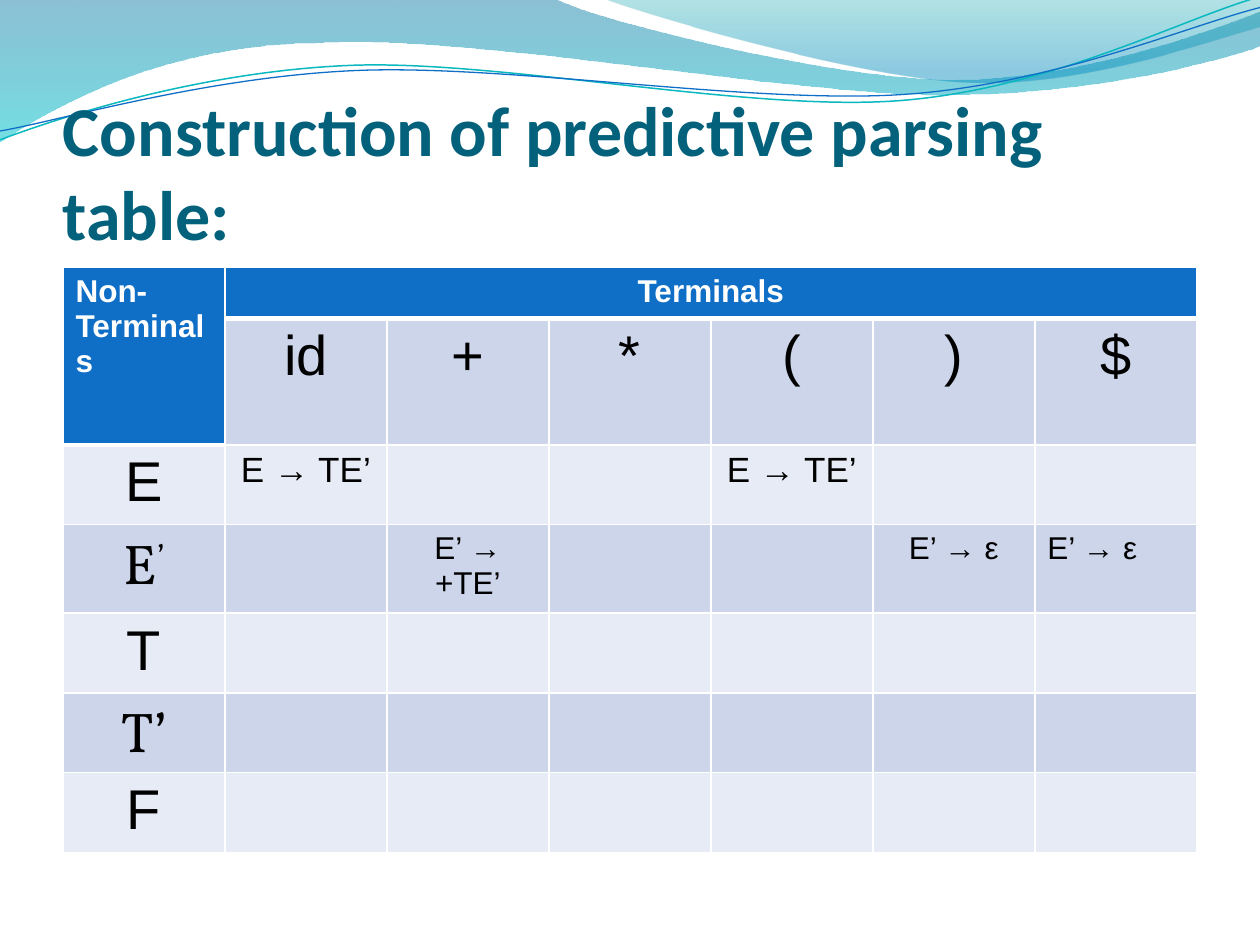
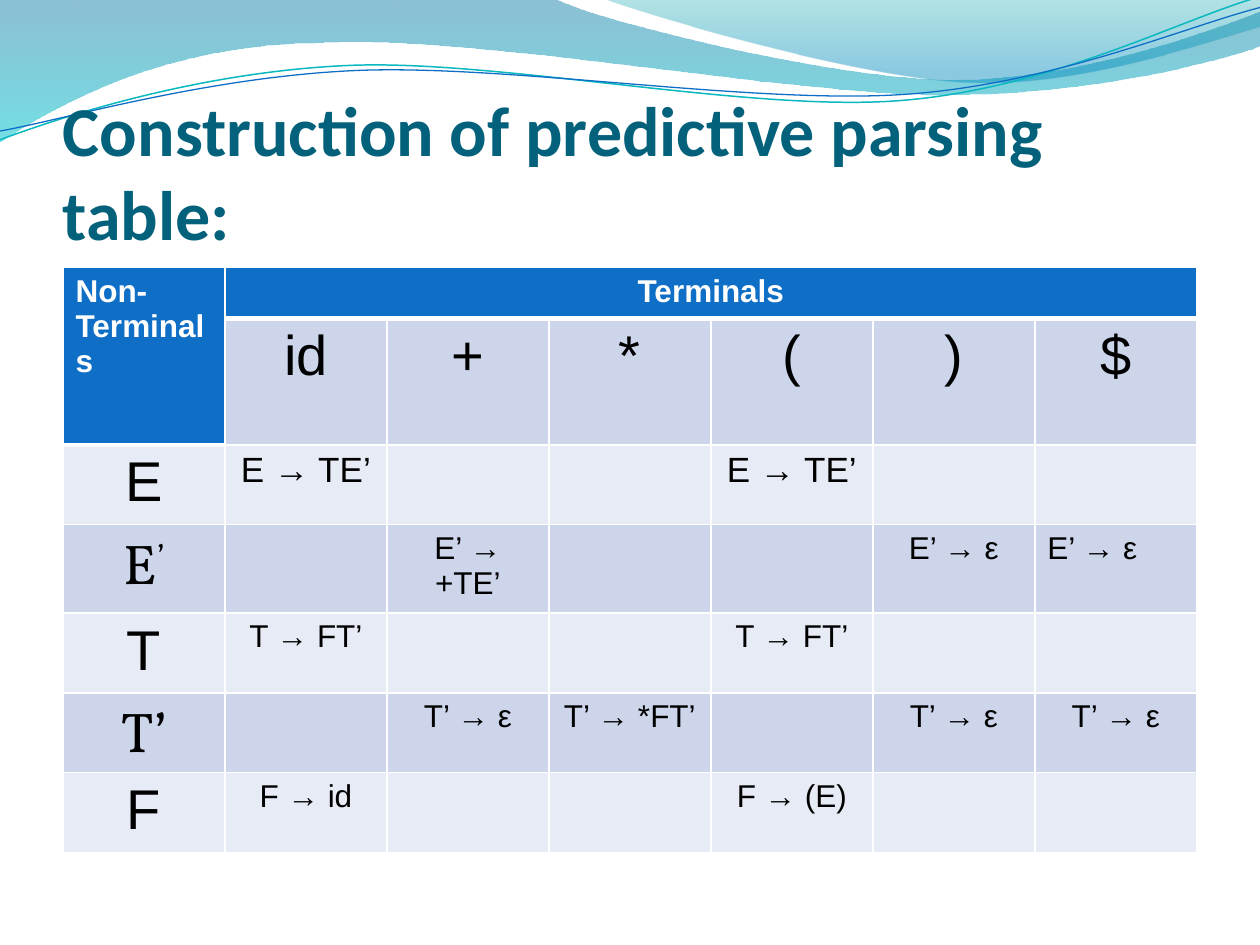
from dataclasses import dataclass

from lxml import etree
from pptx import Presentation
from pptx.dml.color import RGBColor
from pptx.enum.text import MSO_ANCHOR, PP_ALIGN
from pptx.oxml.ns import qn
from pptx.util import Inches, Pt

LEFT, CENTER = PP_ALIGN.LEFT, PP_ALIGN.CENTER
BOTTOM = MSO_ANCHOR.BOTTOM


@dataclass(frozen=True)
class Theme:
    title: str = "04617B"
    header: str = "0F6FC6"
    dark_band: str = "CCD5EA"
    light_band: str = "E7EBF5"
    white: str = "FFFFFF"
    black: str = "000000"
    teal_line: str = "0AB8BF"
    title_font: str = "Calibri"
    body_font: str = "Arial"
    symbol_font: str = "Vollkorn"
    title_size: int = 40
    symbol_size: int = 32
    large_rule_size: int = 20
    rule_size: int = 18


THEME = Theme()
GRID_ROWS, GRID_COLUMNS = 7, 7
TERMINALS = ["id", "+", "*", "(", ")", "$"]

# Each outline: a start point, then lines (one point) and curves (three points).
# Gradient stops: position, colour, opacity in percent.
WAVES = [
    ((0, -0.01),
     [[(4.4, -0.01)],
      [(4.76, 0.17), (6.64, 0.63), (7.58, 0.63)],
      [(8.53, 0.63), (9.58, 0.26), (10, 0.09)],
      [(10.01, 0.36)],
      [(9.83, 0.44), (8.7, 0.76), (7.46, 0.75)],
      [(6.22, 0.75), (3.82, 0.28), (2.57, 0.34)],
      [(1.29, 0.35), (0.46, 0.83), (-0.01, 1.13)],
      [(0, -0.01)]],
     [(0, "0074A1", 45), (1, "00C6CF", 55)]),
    ((4.79, -0.01),
     [[(5.09, 0.11), (6.82, 0.62), (7.69, 0.65)],
      [(8.56, 0.69), (9.61, 0.32), (10, 0.21)],
      [(10, 0)],
      [(4.79, -0.01)]],
     [(0, "00A1A9", 30), (0.8, "008BBF", 45)]),
]
STRANDS = [
    ((0, 1.11),
     [[(0.48, 0.93), (1.58, 0.57), (2.77, 0.52)],
      [(3.95, 0.47), (5.93, 0.89), (7.13, 0.8)],
      [(8.33, 0.71), (9.38, 0.15), (9.98, -0.02)]],
     THEME.teal_line, 0.85),
    ((0, 1.04),
     [[(0.47, 0.96), (1.64, 0.61), (2.83, 0.56)],
      [(4.03, 0.51), (5.97, 0.83), (7.17, 0.75)],
      [(8.36, 0.67), (9.41, 0.21), (10, 0.06)]],
     THEME.header, 0.75),
]

# Runs of each nonterminal: text, font, baseline shift in percent.
NONTERMINALS = [
    [("E", THEME.body_font, 0)],
    [("E", THEME.symbol_font, 0), ("’", THEME.symbol_font, 30)],
    [("T", THEME.body_font, 0)],
    [("T’", THEME.symbol_font, 0)],
    [("F", THEME.body_font, 0)],
]

# Productions by (row, column) of the table.
E_RULES = {
    (2, 1): "E → TE’", (2, 4): "E → TE’",
    (3, 2): "E’ → +TE’", (3, 5): "E’ → ε", (3, 6): "E’ → ε",
}
T_AND_F_RULES = {
    (4, 1): "T → FT’", (4, 4): "T → FT’",
    (5, 2): "T’ → ε", (5, 3): "T’ → *FT’", (5, 5): "T’ → ε", (5, 6): "T’ → ε",
    (6, 1): "F → id", (6, 4): "F → (E)",
}


def draw_outline(page, start, segments, closed):
    """Draw lines and cubic curves as one freeform; lengths are in inches."""
    builder = page.shapes.build_freeform(Inches(start[0]), Inches(start[1]))
    builder.add_line_segments([(Inches(x), Inches(y)) for segment in segments
                               for x, y in segment], close=closed)
    outline = builder.convert_to_shape()
    outline.shadow.inherit = False
    steps = iter(list(outline._element.iter(qn("a:lnTo"))))
    for segment in segments:
        first, *others = [next(steps) for point in segment]
        if others:
            curve = etree.Element(qn("a:cubicBezTo"))
            first.addprevious(curve)
            for step in (first, *others):
                curve.append(step[0])
                step.getparent().remove(step)
    return outline


def add_run(para, text, font, size, color, bold=False):
    span = para.add_run()
    span.text = text
    span.font.name = font
    span.font.size = Pt(size)
    span.font.bold = bold
    span.font.color.rgb = RGBColor.from_string(color)
    return span


deck = Presentation()
deck.slide_width, deck.slide_height = Inches(10), Inches(7.5)

for productions in (E_RULES, E_RULES | T_AND_F_RULES):
    page = deck.slides.add_slide(deck.slide_layouts[6])

    for start, segments, stops in WAVES:
        wave = draw_outline(page, start, segments, True)
        wave.line.fill.background()
        wave.fill.gradient()
        wave.fill.gradient_angle = 270
        for stop, (position, color, opacity) in zip(wave.fill.gradient_stops, stops):
            stop.position = position
            stop.color.rgb = RGBColor.from_string(color)
        color_nodes = list(wave._element.spPr.iter(qn("a:srgbClr")))
        for node, (position, color, opacity) in zip(color_nodes, stops):
            etree.SubElement(node, qn("a:alpha"), val=str(opacity * 1000))

    for start, segments, color, width in STRANDS:
        strand = draw_outline(page, start, segments, False)
        strand.fill.background()
        strand.line.color.rgb = RGBColor.from_string(color)
        strand.line.width = Pt(width)

    box = page.shapes.add_textbox(Inches(0.5), Inches(0.77), Inches(9), Inches(1.25))
    frame = box.text_frame
    frame.word_wrap = True
    frame.vertical_anchor = BOTTOM
    frame.margin_left = frame.margin_right = frame.margin_bottom = 0
    frame.margin_top = Inches(0.05)
    add_run(frame.paragraphs[0], "Construction of predictive parsing table:",
            THEME.title_font, THEME.title_size, THEME.title, True)

    table = page.shapes.add_table(GRID_ROWS, GRID_COLUMNS, Inches(0.5), Inches(2.12),
                                  Inches(9), Inches(4.21)).table
    for row in table.rows:
        row.height = Inches(0.41)
    table.cell(0, 0).merge(table.cell(1, 0))
    table.cell(0, 1).merge(table.cell(0, GRID_COLUMNS - 1))

    for row in range(GRID_ROWS):
        for column in range(GRID_COLUMNS):
            cell = table.cell(row, column)
            header_end = 1 if column == 0 else 0
            properties = cell._tc.get_or_add_tcPr()
            for side in "LRTB":
                heavy = (side == "B" and row <= header_end) or (side == "T" and row == header_end + 1)
                border = etree.SubElement(properties, qn(f"a:ln{side}"),
                                          w=str(Pt(3 if heavy else 1)))
                fill = etree.SubElement(border, qn("a:solidFill"))
                etree.SubElement(fill, qn("a:srgbClr"), val=THEME.white)
            band = THEME.dark_band if row % 2 else THEME.light_band
            cell.fill.solid()
            cell.fill.fore_color.rgb = RGBColor.from_string(
                THEME.header if row <= header_end else band)

    for column, label, alignment in ((0, "Non-Terminals", LEFT), (1, "Terminals", CENTER)):
        para = table.cell(0, column).text_frame.paragraphs[0]
        para.alignment = alignment
        add_run(para, label, THEME.body_font, THEME.rule_size, THEME.white, True)

    for column, terminal in enumerate(TERMINALS, 1):
        para = table.cell(1, column).text_frame.paragraphs[0]
        para.alignment = CENTER
        add_run(para, terminal, THEME.body_font, THEME.symbol_size, THEME.black)

    for row, symbol_runs in enumerate(NONTERMINALS, 2):
        para = table.cell(row, 0).text_frame.paragraphs[0]
        para.alignment = CENTER
        for text, font, baseline in symbol_runs:
            span = add_run(para, text, font, THEME.symbol_size, THEME.black)
            if baseline:
                span._r.get_or_add_rPr().set("baseline", str(baseline * 1000))

    for (row, column), production in productions.items():
        para = table.cell(row, column).text_frame.paragraphs[0]
        para.alignment = LEFT if (row, column) == (3, 6) else CENTER
        size = THEME.large_rule_size if row == 2 else THEME.rule_size
        add_run(para, production, THEME.body_font, size, THEME.black)

deck.save("out.pptx")
